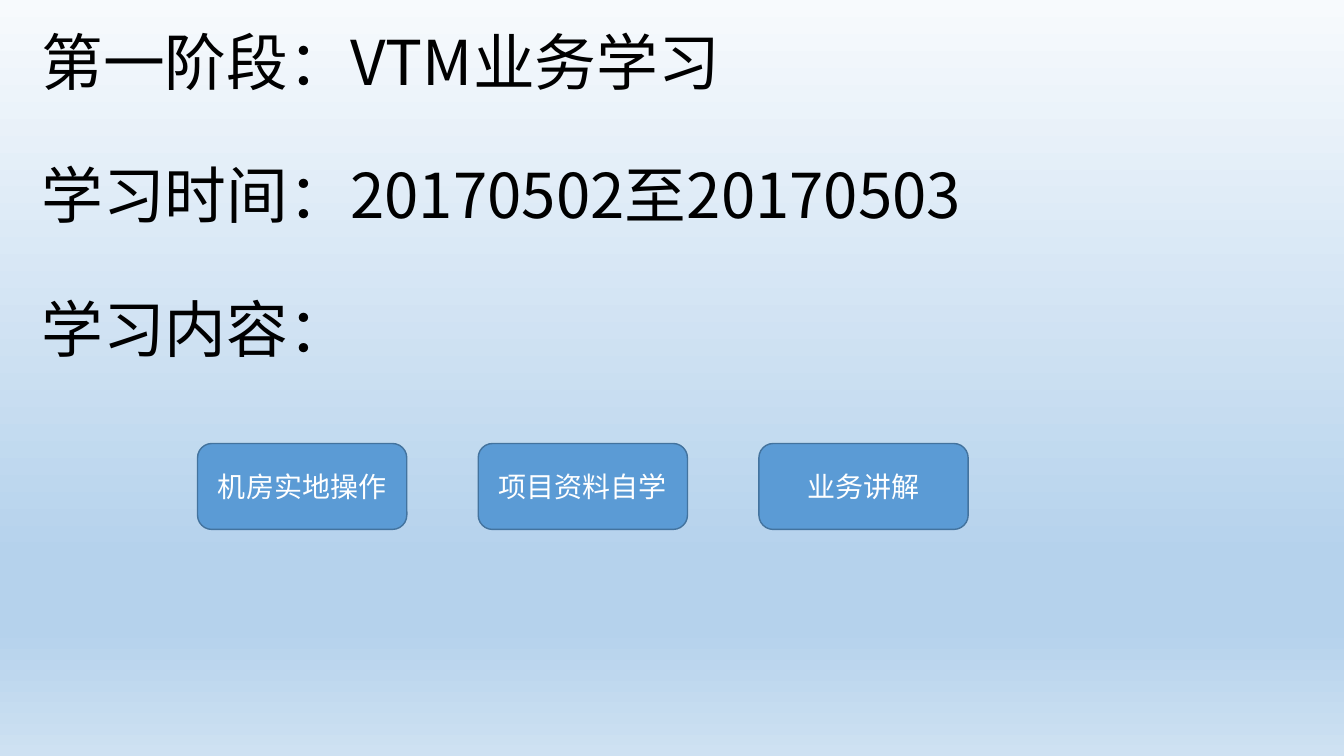
from lxml.etree import SubElement
from pptx import Presentation
from pptx.dml.color import RGBColor
from pptx.enum.shapes import MSO_SHAPE
from pptx.enum.text import MSO_ANCHOR, PP_ALIGN
from pptx.oxml.ns import qn
from pptx.util import Pt

# Content
HEADINGS = ["第一阶段：VTM业务学习", "学习时间：20170502至20170503", "学习内容："]
TOPICS = ["机房实地操作", "项目资料自学", "业务讲解"]
FONT = "Noto Sans CJK SC"
BACKGROUND = [(0, "F7FAFD"), (74, "B5D2EC"), (83, "B5D2EC"), (100, "CEE1F2")]

# Layout, in points
HEADING_LEFT, HEADING_TOP, HEADING_WIDTH, HEADING_HEIGHT = 29.5, 12.4, 907, 300
LINE_HEIGHT, LINE_GAP = 57.4, 37.9
TOPIC_LEFT, TOPIC_TOP, TOPIC_WIDTH, TOPIC_HEIGHT = 141.1, 316.8, 149.5, 61.4
TOPIC_STEP = 200.5


def color(value):
    return RGBColor.from_string(value)


def format_text(para, size, value):
    for span in para.runs:
        span.font.size = Pt(size)
        span.font.name = FONT
        span.font.color.rgb = color(value)
        SubElement(span.font._element, qn("a:ea"), typeface=FONT)


def paint_background(page, stops):
    fill = page.background.fill
    fill.gradient()
    fill.gradient_angle = 270
    stop_list = page._element.find(".//" + qn("a:gsLst"))
    stop_list.clear()
    for percent, value in stops:
        stop = SubElement(stop_list, qn("a:gs"), pos=str(percent * 1000))
        SubElement(stop, qn("a:srgbClr"), val=value)


deck = Presentation()
deck.slide_width, deck.slide_height = Pt(960), Pt(540)
page = deck.slides.add_slide(deck.slide_layouts[6])
paint_background(page, BACKGROUND)

# Headings
box = page.shapes.add_textbox(Pt(HEADING_LEFT), Pt(HEADING_TOP),
                              Pt(HEADING_WIDTH), Pt(HEADING_HEIGHT))
frame = box.text_frame
frame.margin_left = frame.margin_right = frame.margin_top = frame.margin_bottom = 0
frame.word_wrap = True
frame.text = "\n".join(HEADINGS)
for para in frame.paragraphs:
    para.line_spacing = Pt(LINE_HEIGHT)
    para.space_after = Pt(LINE_GAP)
    format_text(para, 44.1, "000000")

# Topic buttons
for index, topic in enumerate(TOPICS):
    button = page.shapes.add_shape(
        MSO_SHAPE.ROUNDED_RECTANGLE, Pt(TOPIC_LEFT + index * TOPIC_STEP),
        Pt(TOPIC_TOP), Pt(TOPIC_WIDTH), Pt(TOPIC_HEIGHT))
    button.shadow.inherit = False
    button.fill.solid()
    button.fill.fore_color.rgb = color("5B9BD5")
    button.line.color.rgb = color("43739E")
    button.line.width = Pt(1)
    button.text_frame.text = topic
    button.text_frame.vertical_anchor = MSO_ANCHOR.MIDDLE
    para = button.text_frame.paragraphs[0]
    para.alignment = PP_ALIGN.CENTER
    format_text(para, 20, "FFFFFF")

deck.save("out.pptx")
